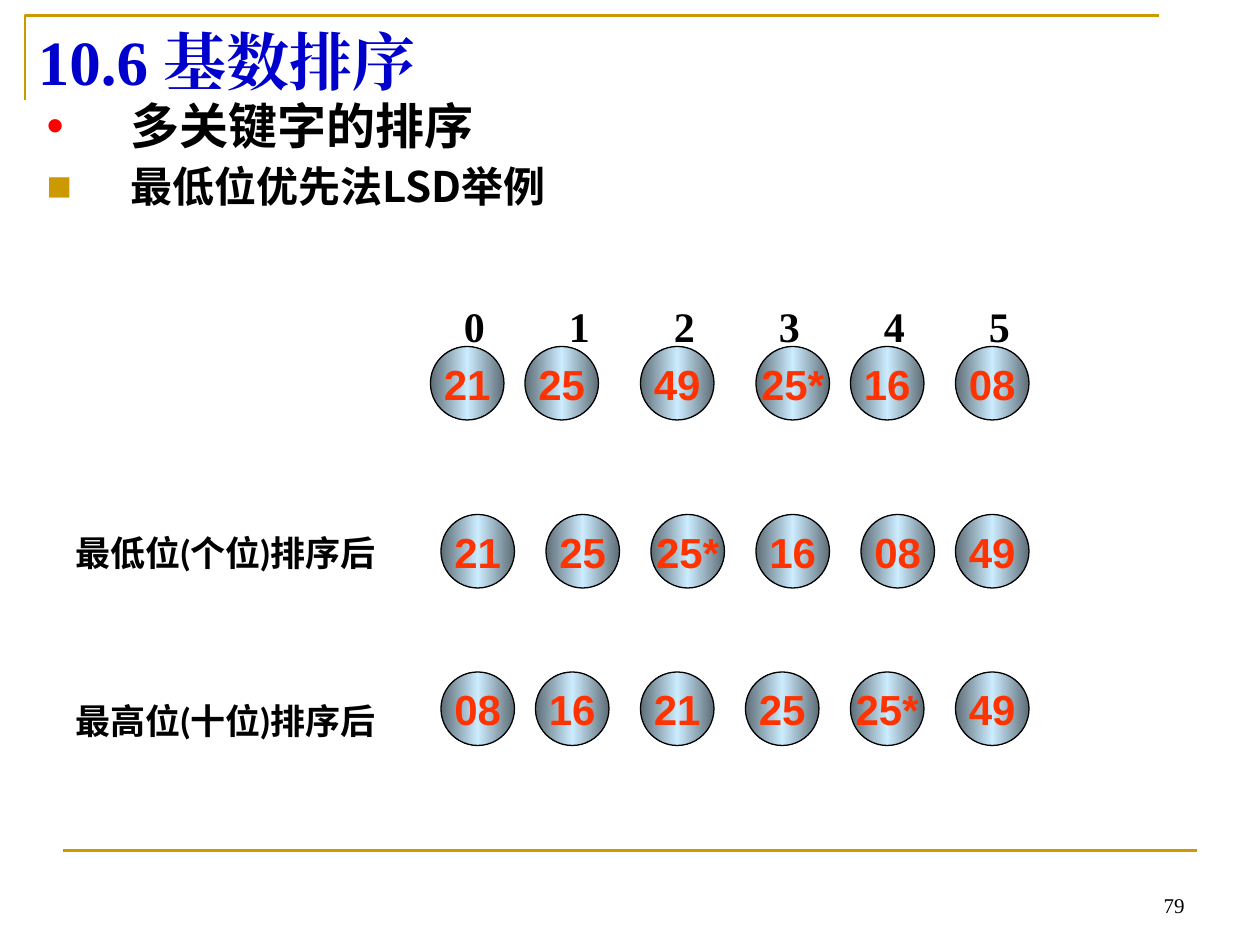
"""Build the radix sort slide with its three rows of keys."""
from copy import deepcopy
from typing import Any, NamedTuple

from lxml.etree import SubElement
from pptx import Presentation
from pptx.dml.color import RGBColor
from pptx.enum.shapes import MSO_CONNECTOR, MSO_SHAPE
from pptx.enum.text import MSO_ANCHOR, PP_ALIGN
from pptx.oxml.ns import qn
from pptx.util import Pt

BLACK = RGBColor(0x00, 0x00, 0x00)
BLUE = RGBColor(0x00, 0x00, 0xCC)
GOLD = RGBColor(0xCC, 0x99, 0x00)
RED = RGBColor(0xFF, 0x00, 0x00)
FLAME = RGBColor(0xFF, 0x33, 0x00)
STEEL = RGBColor(0x5E, 0x6D, 0x76)
ICE = RGBColor(0xCC, 0xEC, 0xFF)

SERIF, SANS, CJK, LATO = "Times New Roman", "Arial", "Noto Sans CJK SC", "Lato"
BALL = 42
STEP = 60


class Row(NamedTuple):
    top: float
    keys: list[str]
    lefts: list[float]


class Point(NamedTuple):
    text: str
    size: float
    mark: str
    tint: RGBColor
    gap: float


ROWS = [
    Row(198, ["21", "25", "49", "25*", "16", "08"], [246, 300, 366, 432, 486, 546]),
    Row(294, ["21", "25", "25*", "16", "08", "49"], [252, 312, 372, 432, 492, 546]),
    Row(384, ["08", "16", "21", "25", "25*", "49"], [252, 306, 366, 426, 486, 546]),
]
POINTS = [
    Point("多关键字的排序", 28, "•", RED, 0),
    Point("最低位优先法LSD举例", 24, "■", GOLD, 6),
]
LABELS = [("最低位(个位)排序后", 0), ("最高位(十位)排序后", 72)]


def apply(item: Any, form: dict[str, Any]) -> None:
    for name, value in form.items():
        setattr(item, name, value)


def write(para: Any, text: str, face: str, size: float, tint: RGBColor, bold: bool = True) -> None:
    run = para.add_run()
    run.text = text
    apply(run.font, {"name": face, "size": Pt(size), "bold": bold})
    run.font.color.rgb = tint
    SubElement(run.font._element, qn("a:ea"), typeface=face)


def add_box(slide: Any, left: float, top: float, width: float, height: float) -> Any:
    box = slide.shapes.add_textbox(Pt(left), Pt(top), Pt(width), Pt(height))
    box.text_frame.word_wrap = True
    return box.text_frame


def next_para(frame: Any, first: bool) -> Any:
    return frame.paragraphs[0] if first else frame.add_paragraph()


def add_frame(slide: Any) -> None:
    pen = slide.shapes.build_freeform(Pt(14.4), Pt(57))
    pen.add_line_segments([(Pt(14.4), Pt(9)), (Pt(662.4), Pt(9))], close=False)
    edge = pen.convert_to_shape()
    edge.fill.background()
    edge.shadow.inherit = False
    rule = slide.shapes.add_connector(MSO_CONNECTOR.STRAIGHT, Pt(36), Pt(486), Pt(684), Pt(486))
    SubElement(rule._element.spPr, qn("a:effectLst"))
    for item in (edge, rule):
        item.line.color.rgb = GOLD
        item.line.width = Pt(1.5)


def add_title(slide: Any) -> None:
    title = slide.shapes.title
    apply(title, {"left": Pt(14.4), "top": Pt(9), "width": Pt(648), "height": Pt(51)})
    apply(title.text_frame, {"vertical_anchor": MSO_ANCHOR.MIDDLE, "word_wrap": True})
    para = title.text_frame.paragraphs[0]
    para.alignment = PP_ALIGN.LEFT
    write(para, "10.6 基数排序", SERIF, 36, BLUE)


def add_points(slide: Any) -> None:
    frame = add_box(slide, 19.5, 55, 675, 414)
    for num, point in enumerate(POINTS):
        para = next_para(frame, num == 0)
        apply(para, {"line_spacing": 0.9, "space_before": Pt(point.gap)})
        props = para._p.get_or_add_pPr()
        props.set("marL", str(Pt(48)))
        props.set("indent", str(Pt(-48)))
        shade = SubElement(props, qn("a:buClr"))
        SubElement(shade, qn("a:srgbClr"), val=str(point.tint))
        SubElement(props, qn("a:buFont"), typeface=SANS)
        SubElement(props, qn("a:buChar"), char=point.mark)
        write(para, point.text, CJK, point.size, BLACK)


def add_heads(slide: Any) -> None:
    para = add_box(slide, 258, 168, 351, 36).paragraphs[0]
    stops = SubElement(para._p.get_or_add_pPr(), qn("a:tabLst"))
    for num in range(1, 6):
        SubElement(stops, qn("a:tab"), pos=str(Pt(num * STEP)), algn="l")
    write(para, "\t".join(map(str, range(6))), SERIF, 24, BLACK)


def add_ball(slide: Any, key: str, left: float, top: float) -> None:
    ball = slide.shapes.add_shape(MSO_SHAPE.OVAL, Pt(left), Pt(top), Pt(BALL), Pt(BALL))
    ball.shadow.inherit = False
    ball.line.color.rgb = BLACK
    ball.line.width = Pt(0.75)
    ball.fill.gradient()
    ball.fill.gradient_angle = 0
    stops = ball._element.spPr.find(".//" + qn("a:gsLst"))
    stops.insert(1, deepcopy(stops[0]))
    for stop, place, tint in zip(ball.fill.gradient_stops, (0, 0.5, 1), (STEEL, ICE, STEEL)):
        stop.position = place
        stop.color.rgb = tint
    frame = ball.text_frame
    apply(frame, {"word_wrap": False, "vertical_anchor": MSO_ANCHOR.MIDDLE})
    frame.paragraphs[0].alignment = PP_ALIGN.CENTER
    write(frame.paragraphs[0], key, SANS, 24, FLAME)


def add_labels(slide: Any) -> None:
    frame = add_box(slide, 36, 300, 198, 176)
    for num, (text, gap) in enumerate(LABELS):
        para = next_para(frame, num == 0)
        para.space_before = Pt(gap)
        write(para, text, LATO, 20, BLACK)


def add_page(slide: Any) -> None:
    frame = add_box(slide, 516, 492, 168, 36)
    frame.vertical_anchor = MSO_ANCHOR.BOTTOM
    frame.paragraphs[0].alignment = PP_ALIGN.RIGHT
    write(frame.paragraphs[0], "79", SERIF, 12, BLACK, False)


def main() -> None:
    deck = Presentation()
    apply(deck, {"slide_width": Pt(720), "slide_height": Pt(540)})
    slide = deck.slides.add_slide(deck.slide_layouts[5])
    for draw in (add_frame, add_page, add_title, add_points, add_heads):
        draw(slide)
    for row in ROWS:
        for key, left in zip(row.keys, row.lefts):
            add_ball(slide, key, left, row.top)
    add_labels(slide)
    deck.save("out.pptx")


if __name__ == "__main__":
    main()
